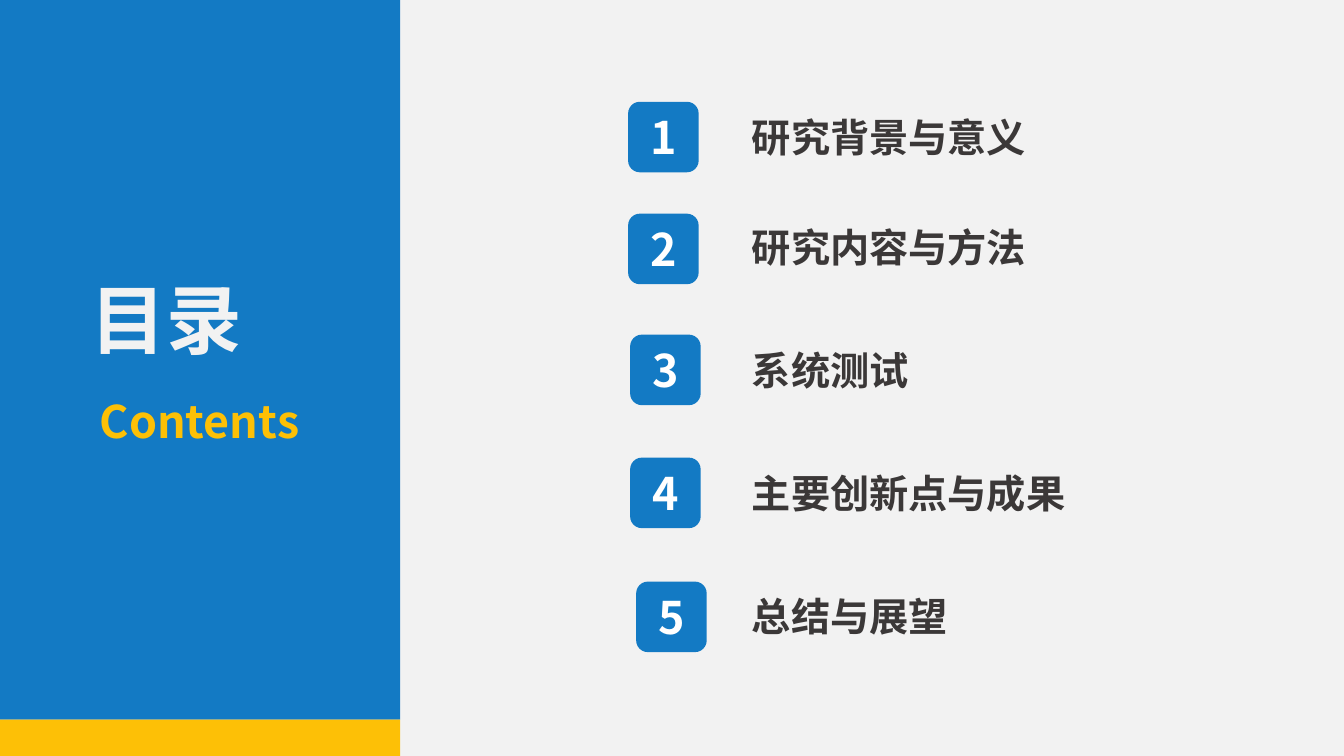
from lxml import etree
from pptx import Presentation
from pptx.dml.color import RGBColor
from pptx.enum import shapes, text
from pptx.oxml.ns import qn
from pptx.util import Inches, Pt

BLUE, YELLOW, PALE, DARK = "137AC4", "FDC006", "F2F2F2", "3B3838"
SANS, SERIF = "Noto Sans CJK SC", "Times New Roman"
ALIGN = text.PP_ALIGN

prs = Presentation()
prs.slide_width, prs.slide_height = Inches(13.33), Inches(7.5)
s = prs.slides.add_slide(prs.slide_layouts[6])
s.background.fill.solid()
s.background.fill.fore_color.rgb = RGBColor.from_string(PALE)


def add_block(preset, left, top, width, height, color):
    sp = s.shapes.add_shape(preset, Inches(left), Inches(top), Inches(width), Inches(height))
    sp.shadow.inherit = False
    sp.fill.solid()
    sp.fill.fore_color.rgb = RGBColor.from_string(color)
    sp.line.fill.background()
    return sp


def write(sp, words, size, color, align, latin=SANS):
    """Put one bold line in a shape, with the sans font for Chinese glyphs."""
    tf = sp.text_frame
    tf.word_wrap = True
    p = tf.paragraphs[0]
    p.text = words
    p.alignment = align
    r = p.runs[0]
    r.font.size, r.font.bold, r.font.name = Pt(size), True, latin
    r.font.color.rgb = RGBColor.from_string(color)
    etree.SubElement(r.font._element, qn("a:ea")).set("typeface", SANS)


RECT, ROUNDED = shapes.MSO_SHAPE.RECTANGLE, shapes.MSO_SHAPE.ROUNDED_RECTANGLE
add_block(RECT, 0, 0, 3.97, 7.14, BLUE)
add_block(RECT, 0, 7.14, 3.97, 0.36, YELLOW)

title = s.shapes.add_textbox(Inches(0.8), Inches(2.66), Inches(2.36), Inches(1.01))
write(title, "目录", 54, PALE, ALIGN.JUSTIFY)
subtitle = s.shapes.add_textbox(Inches(0.8), Inches(3.86), Inches(2.36), Inches(0.64))
write(subtitle, "Contents", 32, YELLOW, ALIGN.CENTER)

# heading, badge left, badge top, heading top, Latin font
chapters = [
    ("研究背景与意义", 6.23, 1.01, 1.08, SANS),
    ("研究内容与方法", 6.23, 2.12, 2.17, SERIF),
    ("系统测试", 6.25, 3.32, 3.39, SANS),
    ("主要创新点与成果", 6.25, 4.54, 4.61, SANS),
    ("总结与展望", 6.31, 5.77, 5.83, SANS),
]
for number, (heading, left, badge_top, heading_top, latin) in enumerate(chapters, 1):
    badge = add_block(ROUNDED, left, badge_top, 0.7, 0.7, BLUE)
    badge.text_frame.vertical_anchor = text.MSO_ANCHOR.MIDDLE
    write(badge, str(number), 32, "FFFFFF", ALIGN.CENTER)
    label = s.shapes.add_textbox(Inches(7.36), Inches(heading_top), Inches(3.5), Inches(0.57))
    write(label, heading, 28, DARK, ALIGN.LEFT, latin)

prs.save("out.pptx")
